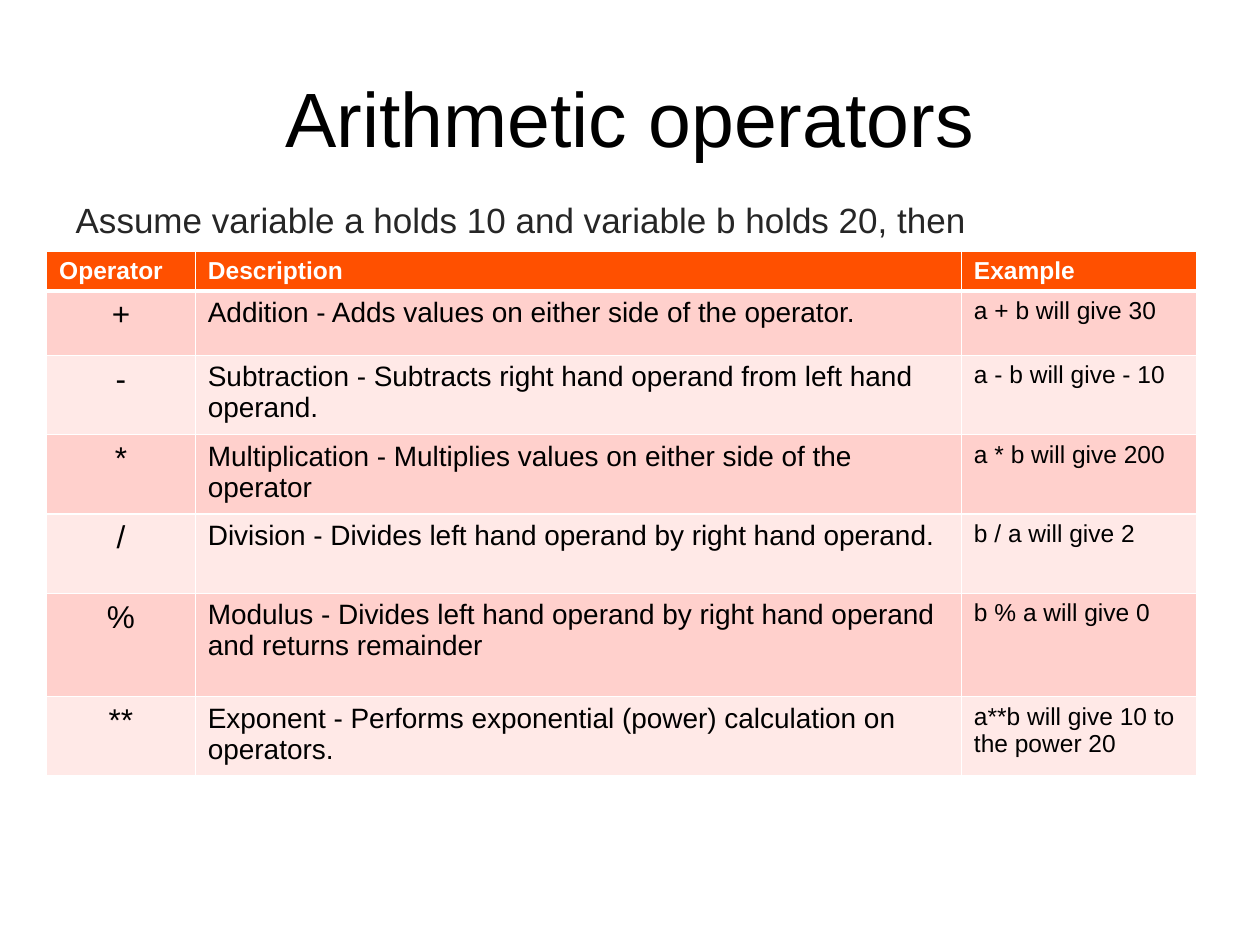
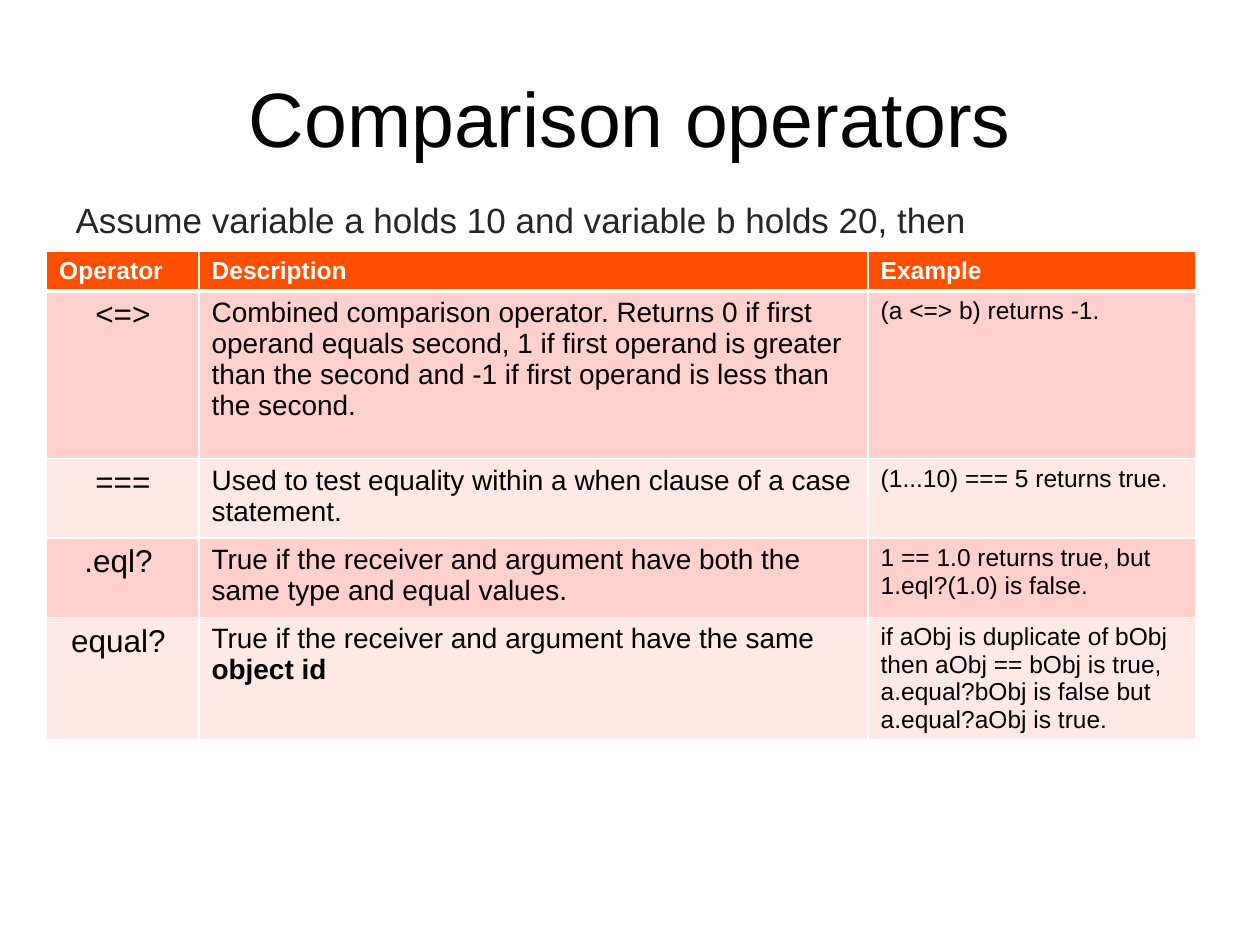
from dataclasses import dataclass

from lxml import etree
from pptx import Presentation
from pptx.dml.color import RGBColor
from pptx.enum import text
from pptx.oxml import ns
from pptx.util import Inches, Pt


@dataclass(frozen=True)
class Theme:
    """Colours, font and type sizes shared by the slides."""
    font: str = "Arial"
    ink: str = "000000"
    lead: str = "262626"
    white: str = "FFFFFF"
    header: str = "FF5000"
    bands: tuple = ("FFD0CC", "FFE9E7")
    title_size: int = 44
    lead_size: int = 20
    header_size: int = 14
    column_sizes: tuple = (18, 16, 14)
    rule: int = 1
    header_rule: int = 3


HEADINGS = ("Operator", "Description", "Example")
LEAD = "Assume variable a holds 10 and variable b holds 20, then"
HEADER_HEIGHT = 0.32

ARITHMETIC = [
    (0.51, "+", "Addition - Adds values on either side of the operator.",
     "a + b will give 30"),
    (0.63, "-", "Subtraction - Subtracts right hand operand from left hand operand.",
     "a - b will give - 10"),
    (0.63, "*", "Multiplication - Multiplies values on either side of the operator",
     "a * b will give 200"),
    (0.63, "/", "Division - Divides left hand operand by right hand operand.",
     "b / a will give 2"),
    (0.82, "%", "Modulus - Divides left hand operand by right hand operand and returns remainder",
     "b % a will give 0"),
    (0.63, "**", "Exponent - Performs exponential (power) calculation on operators.",
     "a**b will give 10 to the power 20"),
]

COMPARISON = [
    (1.33, "<=>",
     "Combined comparison operator. Returns 0 if first operand equals second, 1 if first "
     "operand is greater than the second and -1 if first operand is less than the second.",
     "(a <=> b) returns -1."),
    (0.63, "===", "Used to test equality within a when clause of a case statement.",
     "(1...10) === 5 returns true."),
    (0.63, ".eql? ",
     "True if the receiver and argument have both the same type and equal values.",
     "1 == 1.0 returns true, but 1.eql?(1.0) is false."),
    (0.97, "equal? ",
     ("True if the receiver and argument have the same ", "object id"),
     "if aObj is duplicate of bObj then aObj == bObj is true, "
     "a.equal?bObj is false but a.equal?aObj is true."),
]


def apply(target, values):
    """Set each named attribute on the target."""
    for name, value in values.items():
        setattr(target, name, value)


class OperatorDeck:
    """Builds operator slides in one style."""

    def __init__(self, theme):
        """Start an empty deck."""
        self.theme = theme
        self.presentation = Presentation()
        apply(self.presentation, {"slide_width": Inches(10), "slide_height": Inches(7.5)})
        self.slide = None

    def add_slide(self):
        """Add a title and content slide and make it current."""
        layout = self.presentation.slide_layouts[1]
        self.slide = self.presentation.slides.add_slide(layout)

    def place(self, shape, left, top, width, height):
        """Move and size a placeholder."""
        apply(shape, {"left": Inches(left), "top": Inches(top),
                      "width": Inches(width), "height": Inches(height)})

    def paragraph(self, frame, content, size, color, bold=False, **layout):
        """Fill one paragraph, with every second part of a tuple in bold."""
        paragraph = frame.paragraphs[0]
        apply(paragraph, layout)
        parts = content if isinstance(content, tuple) else (content,)
        for index, part in enumerate(parts):
            run = paragraph.add_run()
            run.text = part
            apply(run.font, {"name": self.theme.font, "size": Pt(size),
                             "bold": bold or index % 2 == 1})
            run.font.color.rgb = RGBColor.from_string(color)
        return paragraph

    def title(self, content):
        """Fill the title placeholder."""
        shape = self.slide.shapes.title
        self.place(shape, 0.5, 0.3, 9, 1.25)
        apply(shape.text_frame, {"vertical_anchor": text.MSO_ANCHOR.MIDDLE,
                                 "auto_size": text.MSO_AUTO_SIZE.NONE})
        self.paragraph(shape.text_frame, content, self.theme.title_size, self.theme.ink,
                       alignment=text.PP_ALIGN.CENTER)

    def lead(self, content):
        """Fill the body placeholder with an unbulleted line."""
        shape = self.slide.placeholders[1]
        self.place(shape, 0.5, 1.36, 9.13, 3.58)
        shape.text_frame.auto_size = text.MSO_AUTO_SIZE.NONE
        paragraph = self.paragraph(shape.text_frame, content, self.theme.lead_size,
                                   self.theme.lead, line_spacing=1.5, space_before=Pt(4))
        properties = paragraph._p.get_or_add_pPr()
        for name in ("marL", "indent"):
            properties.set(name, "0")
        etree.SubElement(properties, ns.qn("a:buNone"))

    def borders(self, cell, top, bottom):
        """Draw white rules round a cell."""
        properties = cell._tc.get_or_add_tcPr()
        widths = {"L": self.theme.rule, "R": self.theme.rule, "T": top, "B": bottom}
        for side, width in widths.items():
            line = etree.SubElement(properties, ns.qn(f"a:ln{side}"), w=str(Pt(width)))
            fill = etree.SubElement(line, ns.qn("a:solidFill"))
            etree.SubElement(fill, ns.qn("a:srgbClr"), val=self.theme.white)

    def cell(self, cell, row, column, content):
        """Style and fill one table cell."""
        theme = self.theme
        self.borders(cell, theme.header_rule if row == 1 else theme.rule,
                     theme.header_rule if row == 0 else theme.rule)
        cell.fill.solid()
        if row == 0:
            background = theme.header
            self.paragraph(cell.text_frame, content, theme.header_size, theme.white, bold=True)
        else:
            background = theme.bands[(row - 1) % 2]
            alignment = text.PP_ALIGN.LEFT if column else text.PP_ALIGN.CENTER
            self.paragraph(cell.text_frame, content, theme.column_sizes[column], theme.ink,
                           alignment=alignment)
        cell.fill.fore_color.rgb = RGBColor.from_string(background)

    def table(self, widths, operators):
        """Add the operator table, with a header row above the operators."""
        rows = [(HEADER_HEIGHT, *HEADINGS), *operators]
        height = sum(row[0] for row in rows)
        table = self.slide.shapes.add_table(
            len(rows), len(widths), Inches(0.37), Inches(1.99),
            Inches(sum(widths)), Inches(height)).table
        for column, width in zip(table.columns, widths):
            column.width = Inches(width)
        for row, (row_height, *contents) in enumerate(rows):
            table.rows[row].height = Inches(row_height)
            for column, content in enumerate(contents):
                self.cell(table.cell(row, column), row, column, content)


def main():
    """Build both operator slides and save them."""
    deck = OperatorDeck(Theme())
    for title, widths, operators in (
        ("Arithmetic operators", (1.18, 6.08, 1.87), ARITHMETIC),
        ("Comparison operators", (1.21, 5.31, 2.6), COMPARISON),
    ):
        deck.add_slide()
        deck.title(title)
        deck.lead(LEAD)
        deck.table(widths, operators)
    deck.presentation.save("out.pptx")


if __name__ == "__main__":
    main()
